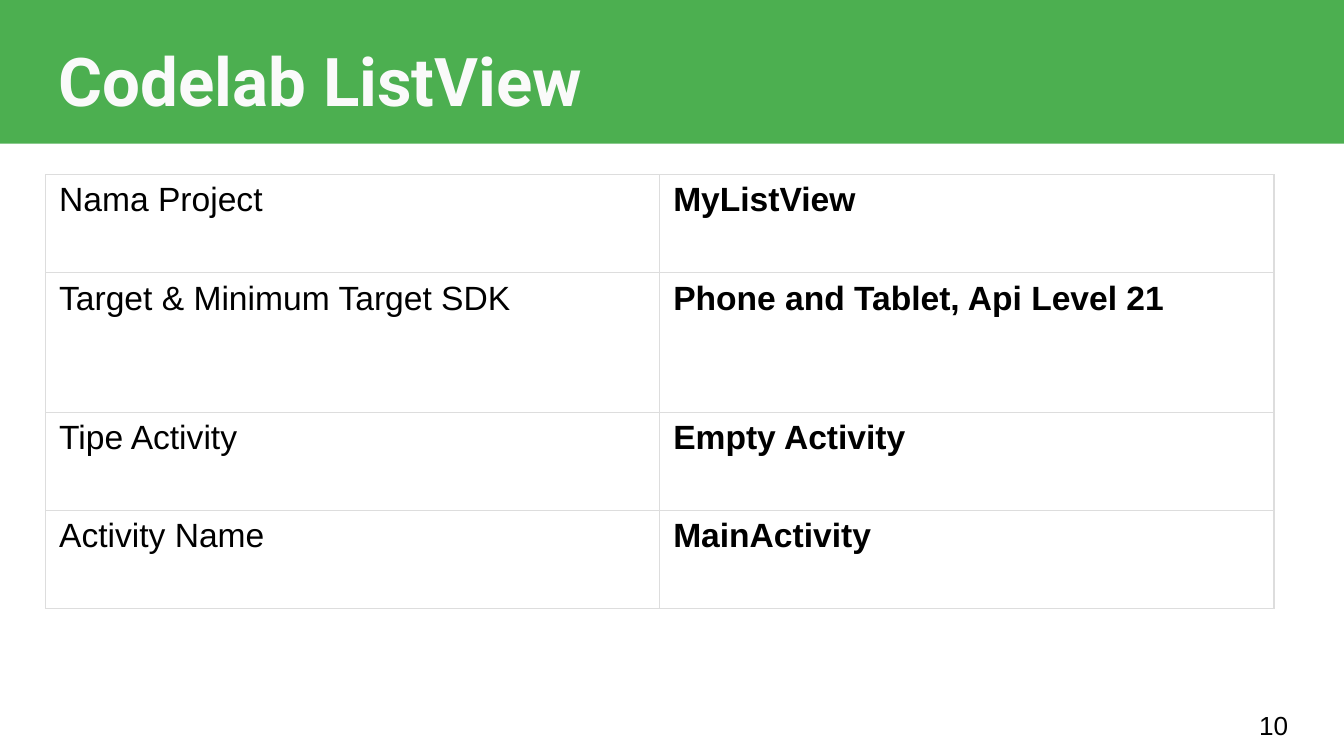
from dataclasses import dataclass
from typing import NamedTuple

from lxml.etree import SubElement
from pptx import Presentation
from pptx.dml.color import RGBColor
from pptx.enum.shapes import MSO_SHAPE as Shape
from pptx.enum.text import MSO_ANCHOR as Anchor
from pptx.oxml.ns import qn
from pptx.util import Inches, Pt


@dataclass(frozen=True)
class Theme:
    green: str = "4CAF50"
    title_ink: str = "FAFAFA"
    ink: str = "000000"
    paper: str = "FFFFFF"
    border: str = "DDDDDD"
    border_width: float = 0.75
    title_font: str = "Roboto"
    body_font: str = "Arial"
    title_size: int = 36
    body_size: int = 18
    number_size: int = 14


class Setting(NamedTuple):
    label: str
    value: str
    height: float


THEME = Theme()
SETTINGS = [
    Setting("Nama Project", "MyListView", 0.73),
    Setting("Target & Minimum Target SDK", "Phone and Tablet, Api Level 21", 1.04),
    Setting("Tipe Activity", "Empty Activity", 0.73),
    Setting("Activity Name", "MainActivity", 0.73),
]


def write(frame, text: str, *, size: int = THEME.body_size, color: str = THEME.ink,
          font: str = THEME.body_font, bold: bool = False) -> None:
    run = frame.paragraphs[0].add_run()
    run.text = text
    run.font.size = Pt(size)
    run.font.name = font
    run.font.bold = bold
    run.font.color.rgb = RGBColor.from_string(color)


def add_label(slide, text: str, left: float, top: float, width: float, height: float,
              anchor=Anchor.TOP, **style) -> None:
    frame = slide.shapes.add_textbox(
        Inches(left), Inches(top), Inches(width), Inches(height)).text_frame
    frame.word_wrap = True
    frame.vertical_anchor = anchor
    frame.margin_left = frame.margin_right = Inches(0.1)
    frame.margin_top = frame.margin_bottom = Inches(0.1)
    write(frame, text, **style)


def add_borders(cell) -> None:
    properties = cell._tc.get_or_add_tcPr()
    # Border lines must come before the cell's fill
    for side in ("a:lnL", "a:lnR", "a:lnT", "a:lnB"):
        line = SubElement(properties, qn(side), w=str(Pt(THEME.border_width)))
        fill = SubElement(line, qn("a:solidFill"))
        SubElement(fill, qn("a:srgbClr"), val=THEME.border)


def fill_cell(cell, text: str, bold: bool) -> None:
    add_borders(cell)
    cell.fill.solid()
    cell.fill.fore_color.rgb = RGBColor.from_string(THEME.paper)
    write(cell.text_frame, text, bold=bold)


def add_settings(slide, settings: list[Setting], left: float, top: float,
                 width: float) -> None:
    height = sum(setting.height for setting in settings)
    table = slide.shapes.add_table(
        len(settings), 2, Inches(left), Inches(top), Inches(width), Inches(height)).table
    table.first_row = table.horz_banding = False
    for column in table.columns:
        column.width = Inches(width / 2)
    for index, setting in enumerate(settings):
        table.rows[index].height = Inches(setting.height)
        fill_cell(table.cell(index, 0), setting.label, bold=False)
        fill_cell(table.cell(index, 1), setting.value, bold=True)


def main() -> None:
    deck = Presentation()
    # Widescreen, 16:9
    deck.slide_width, deck.slide_height = Inches(10), Inches(10 * 9 / 16)
    slide = deck.slides.add_slide(deck.slide_layouts[6])

    # Header band and title
    band = slide.shapes.add_shape(
        Shape.RECTANGLE, Inches(-0.01), Inches(-0.04), Inches(10.01), Inches(1.11))
    band.shadow.inherit = False
    band.fill.solid()
    band.fill.fore_color.rgb = RGBColor.from_string(THEME.green)
    band.line.fill.background()
    add_label(slide, "Codelab ListView", 0.34, 0.19, 9.32, 0.63, size=THEME.title_size,
              color=THEME.title_ink, font=THEME.title_font, bold=True)

    # Project settings
    add_settings(slide, SETTINGS, 0.34, 1.3, 9.14)

    # Page number
    add_label(slide, "10", 9.27, 5.18, 0.6, 0.43, anchor=Anchor.MIDDLE,
              size=THEME.number_size)

    deck.save("out.pptx")


if __name__ == "__main__":
    main()
